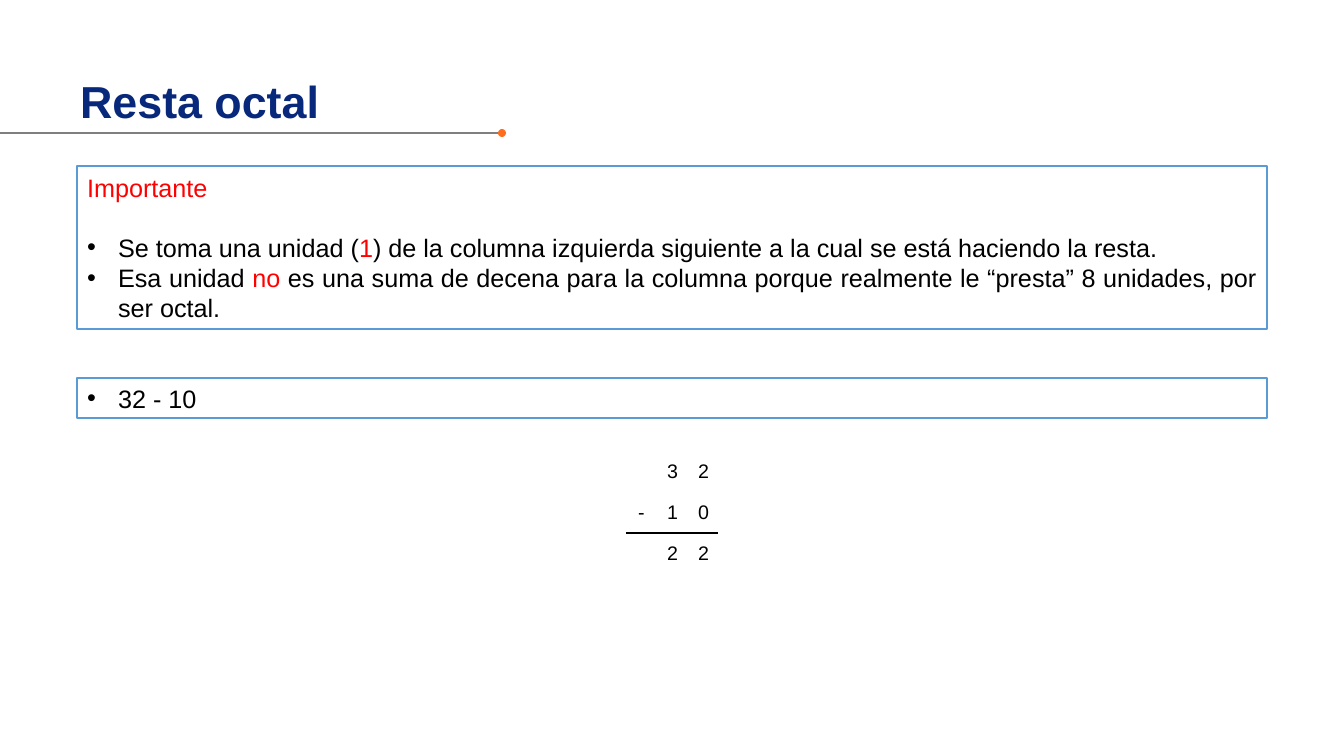
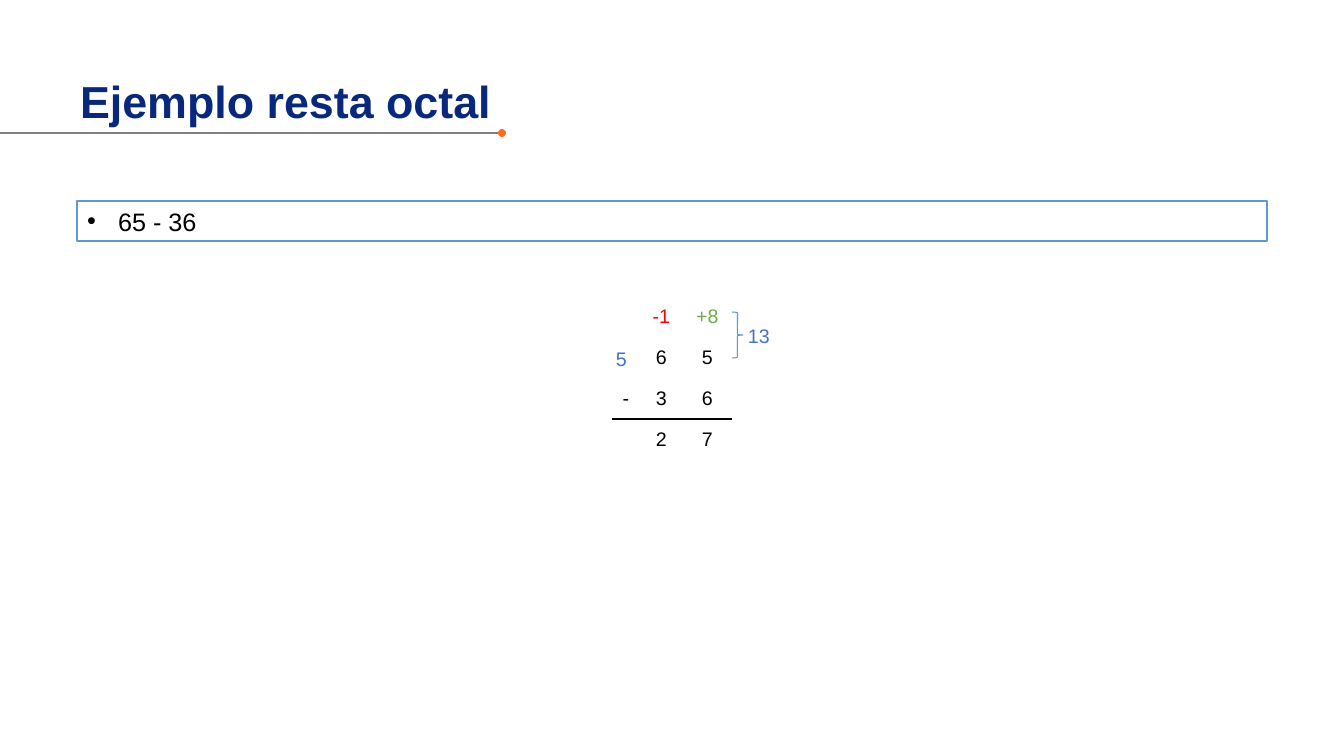
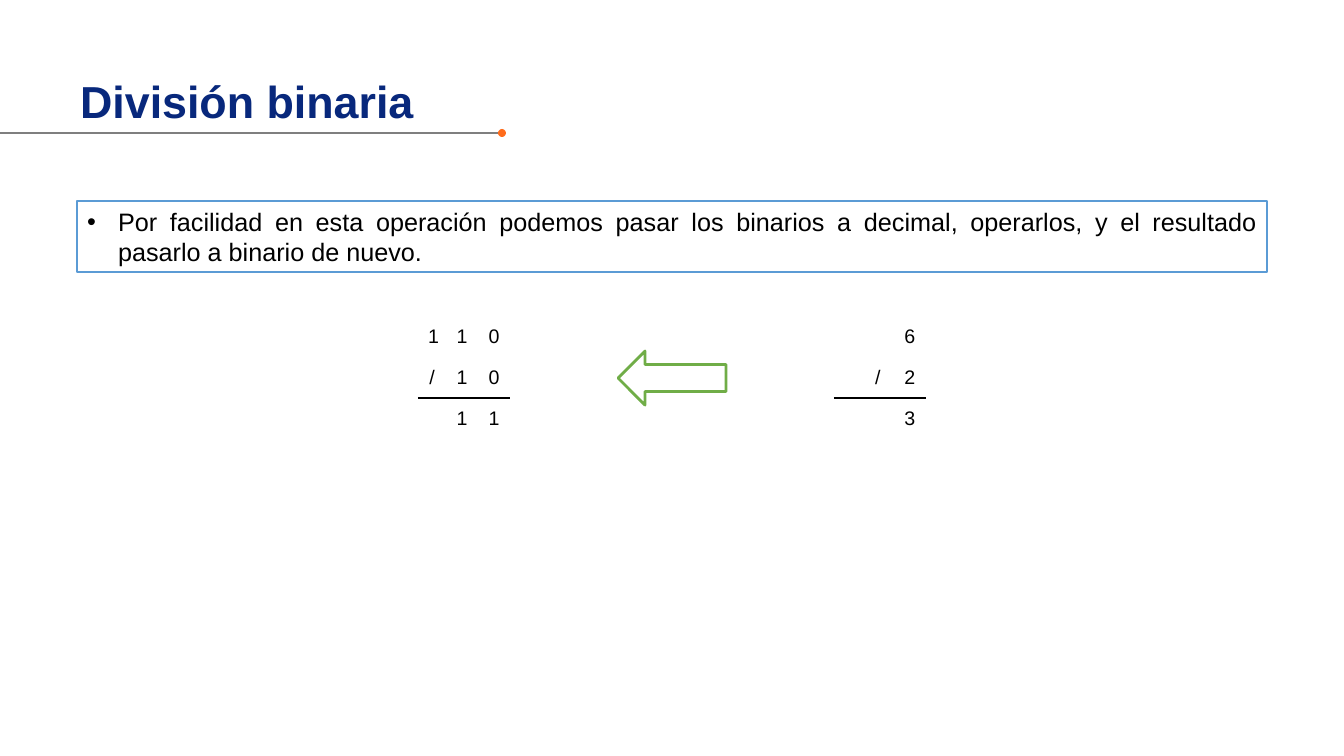
import pptx
import pptx.dml.color
import pptx.enum.shapes
import pptx.enum.text
import pptx.oxml
import pptx.oxml.ns
import pptx.util
import lxml.etree

FONT = "Arial"
NAVY, ORANGE, GREY = "08287C", "FF6C1B", "7F7F7F"
BLACK, WHITE, RED = "000000", "FFFFFF", "FF0000"
FRAME, BLUE, BRACE, GREEN = "5B9BD5", "4472C4", "5698D3", "70AD47"

TITLE_BOX = (70, 69, 1011, 64)
RULE_END = 502
RULE_Y = 133
DOT = 8
LIST_LEFT, LIST_WIDTH = 77, 1190
BULLET_INDENT = 31
ROW_HEIGHT = 41

SHAPES = pptx.enum.shapes.MSO_SHAPE
ALIGN = pptx.enum.text.PP_ALIGN
MIDDLE = pptx.enum.text.MSO_ANCHOR.MIDDLE
NO_GRID_STYLE = "{2D5ABB26-0587-4C30-8999-92F81FD0307C}"


def px(length):
    return pptx.util.Emu(round(length * 12192000 / 1344))


def color(value):
    return pptx.dml.color.RGBColor.from_string(value)


def place(shape, box):
    shape.left, shape.top, shape.width, shape.height = map(px, box)


def add_child(parent, tag, **attributes):
    child = lxml.etree.SubElement(parent, pptx.oxml.ns.qn(tag))
    for name, value in attributes.items():
        child.set(name, str(value))
    return child


def add_span(para, text, size, tint=BLACK, bold=False):
    span = para.add_run()
    span.text = text
    span.font.name = FONT
    span.font.size = pptx.util.Pt(size)
    span.font.bold = bold
    span.font.color.rgb = color(tint)


def paint(shape, fill=None, line=None, width=2):
    if fill:
        shape.fill.solid()
        shape.fill.fore_color.rgb = color(fill)
    else:
        shape.fill.background()
    if line:
        shape.line.color.rgb = color(line)
        shape.line.width = pptx.util.Pt(width)
    else:
        shape.line.fill.background()


def add_figure(page, kind, box, **look):
    shape = page.shapes.add_shape(kind, *map(px, box))
    shape.shadow.inherit = False
    paint(shape, **look)


def add_header(page, text):
    title = page.shapes.title
    place(title, TITLE_BOX)
    frame = title.text_frame
    frame.auto_size = pptx.enum.text.MSO_AUTO_SIZE.NONE
    frame.vertical_anchor = MIDDLE
    frame.paragraphs[0].alignment = ALIGN.LEFT
    add_span(frame.paragraphs[0], text, 32, NAVY, True)

    rule = page.shapes.add_connector(
        pptx.enum.shapes.MSO_CONNECTOR.STRAIGHT,
        px(0), px(RULE_Y), px(RULE_END), px(RULE_Y))
    rule.line.color.rgb = color(GREY)
    rule.line.width = pptx.util.Pt(0.75)
    add_child(rule.element.spPr, "a:effectLst")
    add_figure(page, SHAPES.OVAL,
               (RULE_END - DOT // 2, RULE_Y - DOT // 2, DOT, DOT), fill=ORANGE)


def set_bullet(para, bulleted):
    properties = para._p.get_or_add_pPr()
    indent = px(BULLET_INDENT) if bulleted else 0
    properties.set("marL", str(indent))
    properties.set("indent", str(-indent))
    if bulleted:
        add_child(properties, "a:buFont", typeface=FONT)
        add_child(properties, "a:buChar", char="•")
    else:
        add_child(properties, "a:buNone")


def fill_list(body, top, height, items, heading=None):
    """Frame a body placeholder; each item is a list of (text, colour) spans."""
    place(body, (LIST_LEFT, top, LIST_WIDTH, height))
    paint(body, WHITE, FRAME)
    frame = body.text_frame
    frame.auto_size = pptx.enum.text.MSO_AUTO_SIZE.NONE
    frame.vertical_anchor = MIDDLE
    lines = [[(heading, RED)]] if heading else []
    for index, spans in enumerate(lines + items):
        para = frame.add_paragraph() if index else frame.paragraphs[0]
        is_heading = bool(heading) and index == 0
        para.alignment = ALIGN.JUSTIFY
        para.space_before = pptx.util.Pt(0)
        para.space_after = pptx.util.Pt(21 if is_heading else 0)
        set_bullet(para, not is_heading)
        for text, tint in spans:
            add_span(para, text, 18, tint)


def add_border(cell, side):
    line = pptx.oxml.parse_xml(
        f'<a:{side} {pptx.oxml.ns.nsdecls("a")} w="12700"><a:solidFill>'
        f'<a:srgbClr val="{BLACK}"/></a:solidFill></a:{side}>')
    cell._tc.get_or_add_tcPr().insert(0, line)


def add_operation(page, left, top, widths, rows, tints=None):
    """Place a column operation, ruled above its result; tints maps text to colour."""
    table = page.shapes.add_table(
        len(rows), len(widths), px(left), px(top),
        px(sum(widths)), px(ROW_HEIGHT * len(rows))).table
    table.first_row = table.horz_banding = False
    table._tbl.tblPr.find(pptx.oxml.ns.qn("a:tableStyleId")).text = NO_GRID_STYLE
    for column, width in zip(table.columns, widths):
        column.width = px(width)
    result = len(rows) - 1
    for row_index, texts in enumerate(rows):
        table.rows[row_index].height = px(ROW_HEIGHT)
        for column_index, text in enumerate(texts):
            cell = table.cell(row_index, column_index)
            cell.fill.background()
            cell.vertical_anchor = MIDDLE
            if row_index == result:
                add_border(cell, "lnT")
            elif row_index == result - 1:
                add_border(cell, "lnB")
            if text:
                para = cell.text_frame.paragraphs[0]
                para.alignment = ALIGN.CENTER
                add_span(para, text, 14, (tints or {}).get(text, BLACK))


def add_label(page, box, text):
    frame = page.shapes.add_textbox(*map(px, box)).text_frame
    frame.word_wrap = False
    add_span(frame.paragraphs[0], text, 14, BLUE)


def add_page(deck, layout, title):
    page = deck.slides.add_slide(deck.slide_layouts.get_by_name(layout))
    add_header(page, title)
    return page


def build_octal_subtraction(deck):
    page = add_page(deck, "Two Content", "Resta octal")
    fill_list(page.placeholders[1], 166, 163, [
        [("Se toma una unidad (", BLACK), ("1", RED),
         (") de la columna izquierda siguiente a la cual se está haciendo la resta.",
          BLACK)],
        [("Esa unidad ", BLACK), ("no", RED),
         (" es una suma de decena para la columna porque realmente le “presta” "
          "8 unidades, por ser octal.", BLACK)],
    ], heading="Importante")
    fill_list(page.placeholders[2], 378, 40, [[("32 - 10", BLACK)]])
    add_operation(page, 626, 451, (31, 31, 30),
                  [("", "3", "2"), ("-", "1", "0"), ("", "2", "2")])


def build_octal_example(deck):
    page = add_page(deck, "Title and Content", "Ejemplo resta octal")
    fill_list(page.placeholders[1], 201, 40, [[("65 - 36", BLACK)]])
    add_operation(page, 612, 296, (28, 43, 49),
                  [("", "-1", "+8"), ("", "6", "5"), ("-", "3", "6"), ("", "2", "7")],
                  {"-1": RED, "+8": GREEN})
    add_label(page, (738, 319, 42, 34), "13")
    add_figure(page, SHAPES.RIGHT_BRACE, (732, 312, 11, 46), line=BRACE, width=0.75)
    add_label(page, (606, 342, 31, 34), "5")


def build_binary_division(deck):
    page = add_page(deck, "Title and Content", "División binaria")
    fill_list(page.placeholders[1], 201, 71, [[
        ("Por facilidad en esta operación podemos pasar los binarios a decimal, "
         "operarlos, y el resultado pasarlo a binario de nuevo.", BLACK)]])
    widths = (28, 32, 32)
    add_operation(page, 418, 316, widths,
                  [("1", "1", "0"), ("/", "1", "0"), ("", "1", "1")])
    add_figure(page, SHAPES.LEFT_ARROW, (618, 351, 108, 54), fill=WHITE, line=GREEN)
    add_operation(page, 834, 316, widths,
                  [("", "", "6"), ("", "/", "2"), ("", "", "3")])


def main():
    deck = pptx.Presentation()
    deck.slide_width, deck.slide_height = px(1344), px(756)
    build_octal_subtraction(deck)
    build_octal_example(deck)
    build_binary_division(deck)
    deck.save("out.pptx")


if __name__ == "__main__":
    main()
